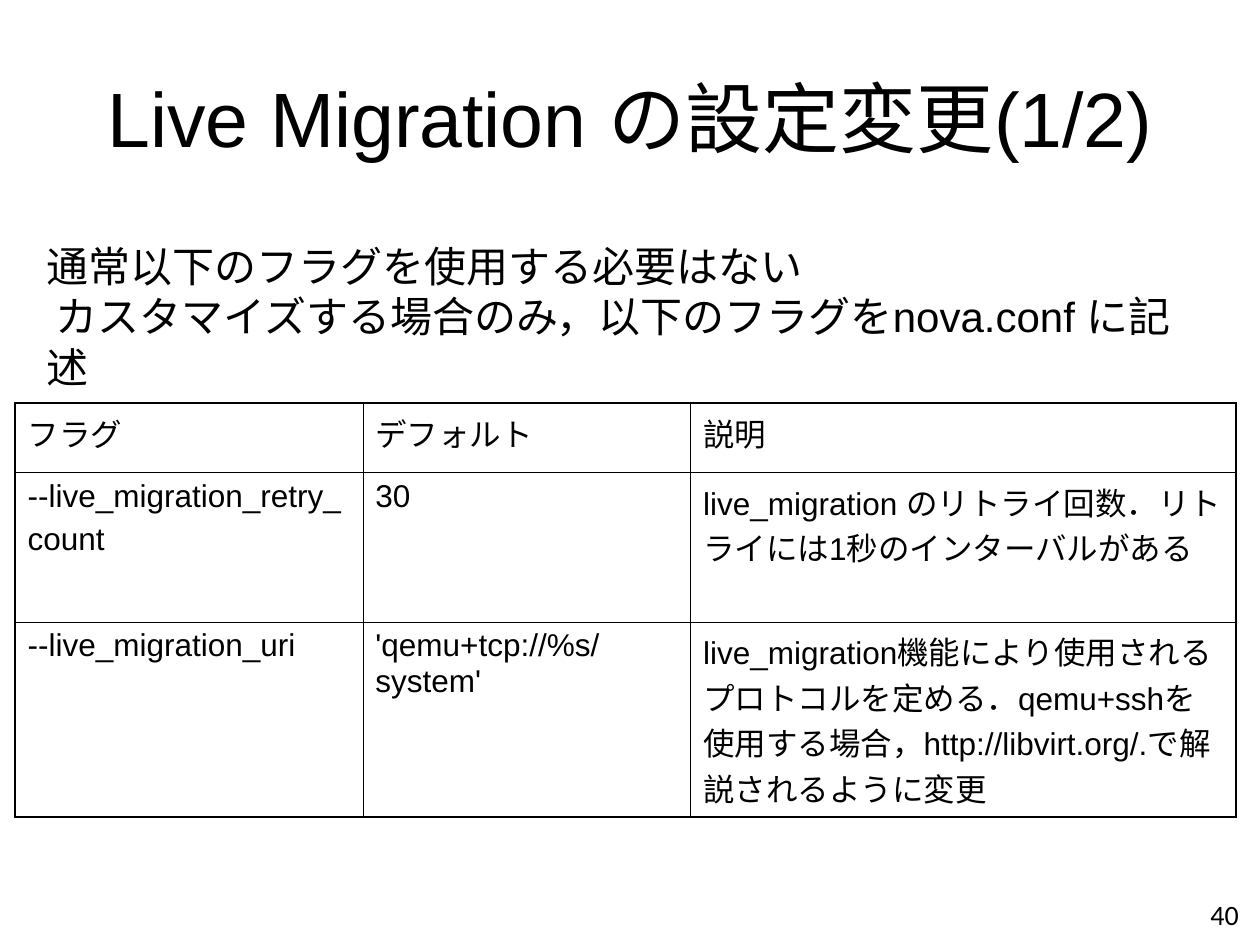
from dataclasses import dataclass

from lxml import etree
from pptx import Presentation, util as u
from pptx.dml.color import RGBColor
from pptx.enum import text
from pptx.oxml import ns

BLACK = RGBColor(0x00, 0x00, 0x00)
WHITE = RGBColor(0xFF, 0xFF, 0xFF)
OUTER, INNER = u.Pt(1.08), u.Pt(0.45)

COLUMNS = (2.76, 2.6, 4.33)
ROWS = (0.55, 1.03, 1.3)
FLAGS = (
    ("フラグ", "デフォルト", "説明"),
    ("--live_migration_retry_\ncount", "30",
     "live_migration のリトライ回数．リトライには1秒のインターバルがある"),
    ("--live_migration_uri", "'qemu+tcp://%s/system'",
     "live_migration機能により使用されるプロトコルを定める．"
     "qemu+sshを使用する場合，http://libvirt.org/.で解説されるように変更"),
)


@dataclass
class SlideBuilder:
    """Hold the current slide and its style, and add each kind of element."""
    slide: object
    font: str = "Arial"
    color: RGBColor = BLACK

    def set_words(self, frame, words, size, font=None, gap=None, **formats):
        frame.text = words
        for index, paragraph in enumerate(frame.paragraphs):
            if index and gap:
                paragraph.space_before = gap
            for name, value in formats.items():
                setattr(paragraph, name, value)
            for name, value in {"name": font or self.font, "size": u.Pt(size)}.items():
                setattr(paragraph.font, name, value)
            paragraph.font.color.rgb = self.color

    def place(self, shape, box):
        for name, value in zip(("left", "top", "width", "height"), box):
            setattr(shape, name, u.Inches(value))

    def title(self, words, box):
        heading = self.slide.shapes.title
        self.place(heading, box)
        heading.text_frame.vertical_anchor = text.MSO_ANCHOR.MIDDLE
        self.set_words(heading.text_frame, words, 44, alignment=text.PP_ALIGN.CENTER)

    def textbox(self, words, box, size, anchor=text.MSO_ANCHOR.TOP, **formats):
        frame = self.slide.shapes.add_textbox(*map(u.Inches, box)).text_frame
        for name, value in {"word_wrap": True, "vertical_anchor": anchor}.items():
            setattr(frame, name, value)
        self.set_words(frame, words, size, **formats)

    def border(self, cell, widths):
        properties = cell._tc.get_or_add_tcPr()
        for index, (side, width) in enumerate(widths.items()):
            line = etree.Element(ns.qn(f"a:{side}"), w=str(int(width)))
            fill = etree.SubElement(line, ns.qn("a:solidFill"))
            etree.SubElement(fill, ns.qn("a:srgbClr"), val=str(self.color))
            properties.insert(index, line)

    def table(self, rows, left, top, widths, heights):
        box = (left, top, sum(widths), sum(heights))
        grid = self.slide.shapes.add_table(
            len(heights), len(widths), *map(u.Inches, box)).table
        for column, width in zip(grid.columns, widths):
            column.width = u.Inches(width)
        for row, height in zip(grid.rows, heights):
            row.height = u.Inches(height)
        last_row, last_column = len(heights) - 1, len(widths) - 1
        for r, row in enumerate(rows):
            for c, words in enumerate(row):
                cell = grid.cell(r, c)
                cell.fill.solid()
                cell.fill.fore_color.rgb = WHITE
                self.set_words(cell.text_frame, words, 18, gap=u.Pt(4.5))
                edges = {"lnL": c == 0, "lnR": c == last_column,
                         "lnT": r == 0, "lnB": r == last_row}
                self.border(cell, {side: OUTER if outer else INNER
                                   for side, outer in edges.items()})


def main():
    deck = Presentation()
    deck.slide_width, deck.slide_height = u.Inches(10), u.Inches(7.5)
    builder = SlideBuilder(deck.slides.add_slide(deck.slide_layouts[5]))
    builder.title("Live Migration の設定変更(1/2)", (0.5, 0.3, 9, 1.25))
    builder.table(FLAGS, 0.12, 3.2, COLUMNS, ROWS)
    builder.textbox("通常以下のフラグを使用する必要はない\n"
                    " カスタマイズする場合のみ，以下のフラグをnova.conf に記述",
                    (0.27, 1.86, 9.45, 1.3), 24, line_spacing=u.Pt(28.8))
    builder.textbox("40", (7.6, 7.06, 2.33, 0.4), 16, text.MSO_ANCHOR.MIDDLE,
                    font="Calibri", alignment=text.PP_ALIGN.RIGHT)
    deck.save("out.pptx")


if __name__ == "__main__":
    main()
